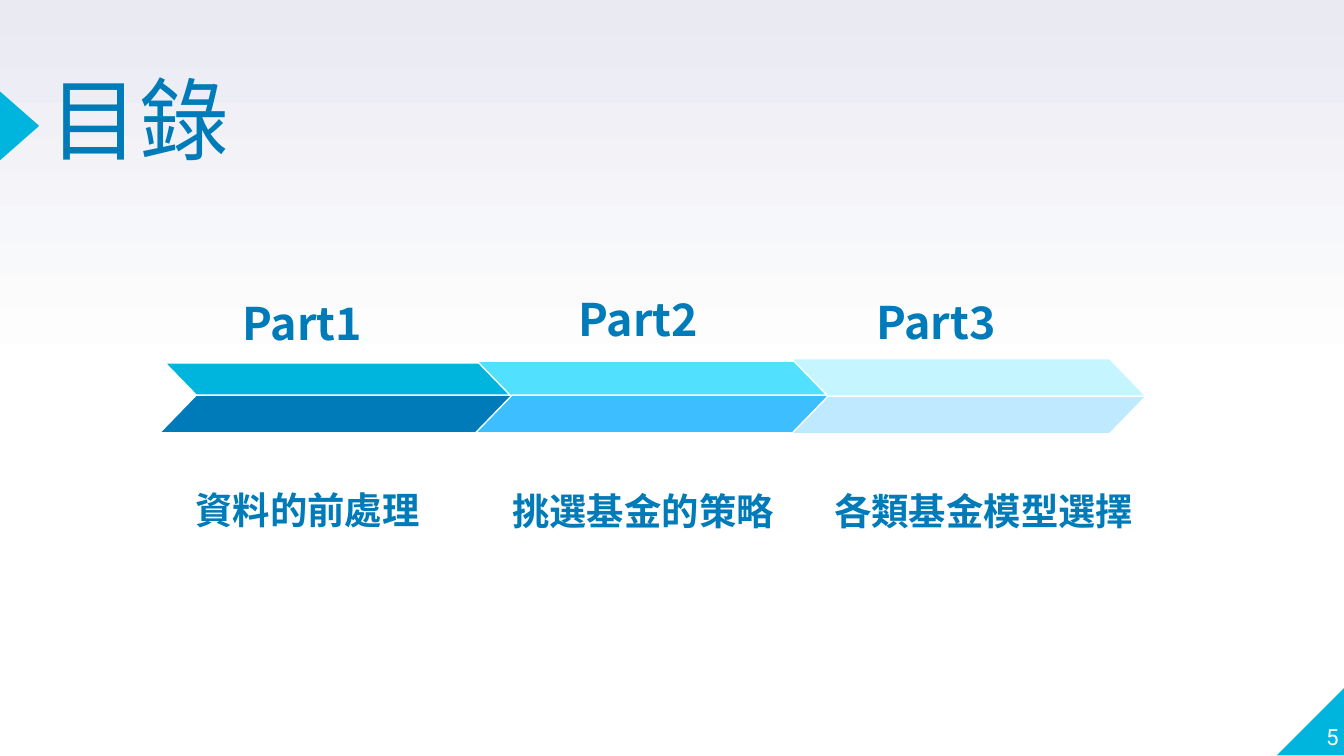
from copy import deepcopy

from lxml import etree
from pptx import Presentation
from pptx.dml.color import RGBColor
from pptx.enum import shapes, text
from pptx.oxml.ns import qn
from pptx.util import Cm, Pt

THEME = {
    "font": "Noto Sans CJK SC", "digit": "Roboto",
    "ink": "007BB9", "accent": "00B5DD", "white": "FFFFFF",
    "sky": ["FFFFFF", "FFFFFF", "E9EAF2"],
    "title": 48, "label": 24, "body": 20, "number": 12,
}
TITLE = "目錄"
NUMBER = "5"

# Boxes are left, top, width, height in cm; bands are left, top, colour.
PARTS = [
    {"label": ("Part1", (4.34, 4.8, 2.95, 2.06)),
     "body": ("資料的前處理", (3.02, 8.84, 5.59, 3.4)),
     "upper": (3.12, 6.86, "00B5DD"), "lower": (3.02, 7.47, "007BB9")},
    {"label": ("Part2", (10.69, 4.72, 2.95, 2.06)),
     "body": ("挑選基金的策略", (9.22, 8.86, 5.87, 3.4)),
     "upper": (9.02, 6.83, "52E0FF"), "lower": (8.99, 7.47, "3CBEFF")},
    {"label": ("Part3", (16.31, 4.78, 3.15, 2.06)),
     "body": ("各類基金模型選擇", (15.42, 8.86, 6.35, 3.4)),
     "upper": (14.96, 6.78, "C5F5FF"), "lower": (14.96, 7.49, "BEE9FF")},
]
BAND = (6.7, 0.71)
SLANT = 0.97
SHAPE = shapes.MSO_SHAPE
ALIGN = text.PP_ALIGN
ANCHOR = text.MSO_ANCHOR


def rgb(code):
    return RGBColor.from_string(code)


def cms(box):
    return [Cm(n) for n in box]


def paint(slide):
    """Give the slide a three-stop vertical gradient."""
    fill = slide.background.fill
    fill.gradient()
    fill.gradient_angle = 90
    first = next(slide.element.iter(qn("a:gs")))
    first.addnext(deepcopy(first))
    for i, stop in enumerate(fill.gradient_stops):
        stop.position = i / 2
        stop.color.rgb = rgb(THEME["sky"][i])


def draw(slide, kind, box, color, flip=False, edge=False):
    shape = slide.shapes.add_shape(kind, *cms(box))
    shape.shadow.inherit = False
    shape.fill.solid()
    shape.fill.fore_color.rgb = rgb(color)
    if edge:
        shape.line.color.rgb = rgb(THEME["white"])
        shape.line.width = Pt(0.75)
    else:
        shape.line.fill.background()
    if flip:
        shape.element.spPr.xfrm.set("flipH", "1")
    return shape


def write(shape, words, size, color=THEME["ink"], font=THEME["font"], bold=False,
          align=ALIGN.LEFT, anchor=ANCHOR.BOTTOM, inset=0, lead=1, after=0):
    frame = shape.text_frame
    frame.word_wrap = True
    frame.auto_size = text.MSO_AUTO_SIZE.NONE
    frame.vertical_anchor = anchor
    frame.margin_left = frame.margin_right = Cm(inset)
    frame.margin_top = frame.margin_bottom = Cm(inset)
    para = frame.paragraphs[0]
    para.alignment = align
    para.line_spacing = lead
    para.space_after = Pt(after)
    run = para.add_run()
    run.text = words
    run.font.name = font
    run.font.size = Pt(size)
    run.font.bold = bold
    run.font.color.rgb = rgb(color)
    east = etree.Element(qn("a:ea"), typeface=font)
    run.font._element.find(qn("a:latin")).addnext(east)


def main():
    deck = Presentation()
    deck.slide_width, deck.slide_height = Cm(25.4), Cm(14.29)
    slide = deck.slides.add_slide(deck.slide_layouts[5])
    paint(slide)

    draw(slide, SHAPE.RIGHT_TRIANGLE, (24.13, 12.98, 1.3, 1.3),
         THEME["accent"], flip=True)
    mark = draw(slide, SHAPE.ISOSCELES_TRIANGLE, (-0.28, 2.01, 1.3, 0.74),
                THEME["accent"])
    mark.rotation = 90

    title = slide.shapes.title
    title.left, title.top, title.width, title.height = cms((0.94, 0, 13.21, 3.23))
    write(title, TITLE, THEME["title"], lead=0.8)
    page = slide.shapes.add_textbox(*cms((24.03, 12.88, 1.27, 1.3)))
    write(page, NUMBER, THEME["number"], THEME["white"], THEME["digit"],
          align=ALIGN.RIGHT)

    for part in PARTS:
        for row in ("upper", "lower"):
            left, top, color = part[row]
            band = draw(slide, SHAPE.PARALLELOGRAM, (left, top, *BAND), color,
                        flip=row == "upper", edge=True)
            band.adjustments[0] = SLANT
        words, box = part["label"]
        write(slide.shapes.add_textbox(*cms(box)), words, THEME["label"],
              bold=True, inset=0.25, lead=1.15)
        words, box = part["body"]
        write(slide.shapes.add_textbox(*cms(box)), words, THEME["body"],
              bold=True, align=ALIGN.CENTER, anchor=ANCHOR.TOP,
              inset=0.25, lead=1.15, after=16)

    deck.save("out.pptx")


if __name__ == "__main__":
    main()
